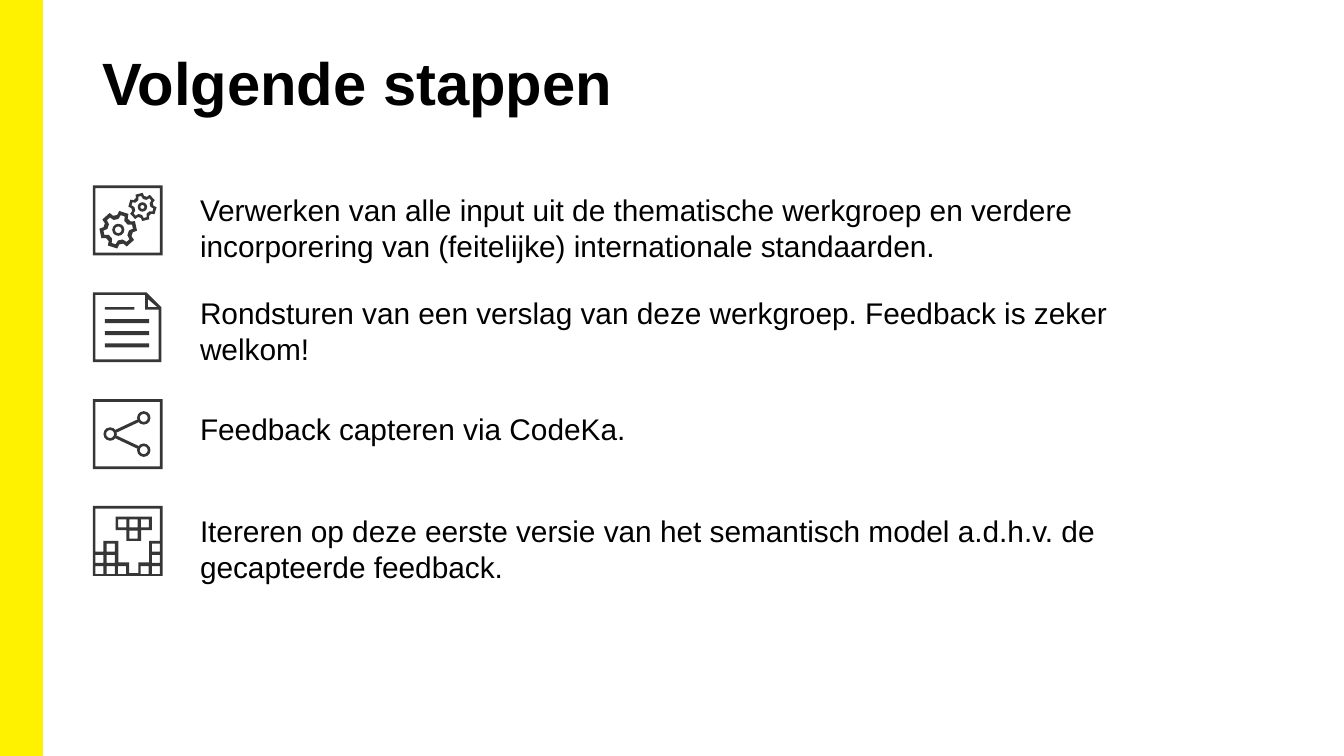
import math

import lxml.etree
import pptx
import pptx.dml.color
import pptx.enum.shapes
import pptx.enum.text
import pptx.oxml.ns
import pptx.util

Inches = pptx.util.Inches
SHAPES = pptx.enum.shapes.MSO_SHAPE
YELLOW, INK, BLACK = "FFF200", "373636", "000000"
PAGE_WIDTH = 10
PAGE_HEIGHT = PAGE_WIDTH * 9 / 16
ICON = 0.52
STROKE = 0.02


def colour(hex_value):
    return pptx.dml.color.RGBColor.from_string(hex_value)


def paint(shape, hex_value):
    shape.shadow.inherit = False
    shape.fill.solid()
    shape.fill.fore_color.rgb = colour(hex_value)
    shape.line.fill.background()


def add_preset(shapes, kind, left, top, width, height, hex_value=INK):
    shape = shapes.add_shape(kind, Inches(left), Inches(top), Inches(width), Inches(height))
    paint(shape, hex_value)
    return shape


def add_outline(shapes, left, top, contours):
    """Fill closed contours, given relative to left and top; inner ones become holes."""
    placed = [[(Inches(left + x), Inches(top + y)) for x, y in contour] for contour in contours]
    builder = shapes.build_freeform(*placed[0][0], scale=1.0)
    builder.add_line_segments(placed[0][1:], close=True)
    for contour in placed[1:]:
        builder.move_to(*contour[0])
        builder.add_line_segments(contour[1:], close=True)
    paint(builder.convert_to_shape(), INK)


def rectangle(x, y, width, height):
    return [(x, y), (x + width, y), (x + width, y + height), (x, y + height)]


def frame_contours():
    inner = ICON - 2 * STROKE
    return [rectangle(0, 0, ICON, ICON), rectangle(STROKE, STROKE, inner, inner)]


def add_ring(shapes, centre_x, centre_y, size):
    ring = add_preset(shapes, SHAPES.DONUT, centre_x - size / 2, centre_y - size / 2, size, size)
    ring.adjustments[0] = STROKE / size


def cog(tip, root, tip_half, root_half, phase):
    """Contour of a six-toothed wheel; radii in inches, angles in degrees."""
    corners = [(root, -root_half), (tip, -tip_half), (tip, tip_half), (root, root_half)]
    points = []
    for tooth in range(6):
        for radius, offset in corners:
            angle = math.radians(phase + 60 * tooth + offset)
            points.append((radius * math.cos(angle), radius * math.sin(angle)))
    return points


def gears_icon(shapes, left, top):
    add_outline(shapes, left, top, frame_contours())
    for x, y, scale, phase, hub in [(0.19, 0.33, 1, -12, 0.09), (0.37, 0.16, 0.75, 16, 0.07)]:
        wheel = [cog(0.14 * scale, 0.11 * scale, 15, 22, phase),
                 cog(0.11 * scale, 0.08 * scale, 8, 17, phase)]
        add_outline(shapes, left + x, top + y, wheel)
        add_ring(shapes, left + x, top + y, hub)


def document_icon(shapes, left, top):
    add_preset(shapes, SHAPES.RECTANGLE, left + 0.09, top + 0.11, 0.22, 0.02)
    for line in range(3):
        add_preset(shapes, SHAPES.RECTANGLE, left + 0.09, top + 0.2 + 0.09 * line, 0.33, 0.03)
    sheet = [(0, 0), (0.4, 0), (0.51, 0.11), (0.51, ICON), (0, ICON)]
    fold = [(0.41, 0.05), (0.48, 0.11), (0.41, 0.11)]
    inside = [(0.02, 0.02), (0.39, 0.02), (0.39, 0.13), (0.49, 0.13), (0.49, 0.5), (0.02, 0.5)]
    add_outline(shapes, left, top, [sheet, fold, inside])


def share_icon(shapes, left, top):
    add_outline(shapes, left, top, frame_contours())
    add_ring(shapes, left + 0.13, top + 0.26, 0.1)
    for end_y, side in [(0.14, -1), (0.38, 1)]:
        add_ring(shapes, left + 0.38, top + end_y, 0.1)
        link = shapes.add_connector(
            pptx.enum.shapes.MSO_CONNECTOR.STRAIGHT,
            Inches(left + 0.17), Inches(top + 0.26 + 0.02 * side),
            Inches(left + 0.34), Inches(top + end_y - 0.02 * side))
        link.line.color.rgb = colour(INK)
        link.line.width = pptx.util.Pt(1.6)
        lxml.etree.SubElement(link._element.spPr, pptx.oxml.ns.qn("a:effectLst"))


def blocks_icon(shapes, left, top):
    pitch, hole = 0.084, 0.06
    piece = [(0.17, 0.08), (0.44, 0.08), (0.44, 0.18), (0.36, 0.18),
             (0.36, 0.26), (0.25, 0.26), (0.25, 0.18), (0.17, 0.18)]
    piece_cells = [(0, 0), (1, 0), (2, 0), (1, 1)]
    add_outline(shapes, left, top, [piece] + [
        rectangle(0.19 + pitch * column, 0.1 + pitch * row, hole, hole)
        for column, row in piece_cells])

    cavity = [(0.02, 0.02), (0.5, 0.02), (0.5, 0.26), (0.42, 0.26), (0.42, 0.42),
              (0.34, 0.42), (0.34, 0.5), (0.27, 0.5), (0.27, 0.42), (0.19, 0.42),
              (0.19, 0.26), (0.08, 0.26), (0.08, 0.34), (0.02, 0.34)]
    filled_columns = [(1, 5), (0, 1, 5), (0, 1, 2, 4, 5)]
    pile = [rectangle(0.02 + pitch * column, 0.28 + pitch * row, hole, hole)
            for row, columns in enumerate(filled_columns) for column in columns]
    add_outline(shapes, left, top, [rectangle(0, 0, ICON, ICON), cavity] + pile)


def add_text(page, box, insets, text, font):
    left, top, width, height = map(Inches, box)
    frame = page.shapes.add_textbox(left, top, width, height).text_frame
    frame.word_wrap = True
    frame.vertical_anchor = pptx.enum.text.MSO_ANCHOR.TOP
    for side, inset in zip(("left", "top", "right", "bottom"), insets):
        setattr(frame, f"margin_{side}", Inches(inset))
    span = frame.paragraphs[0].add_run()
    span.text = text
    for name, value in font.items():
        setattr(span.font, name, value)
    span.font.color.rgb = colour(BLACK)


def add_step(page, left, top, draw_icon, text_shift, text):
    draw_icon(page.shapes.add_group_shape().shapes, left, top)
    add_text(page, (left + 0.7, top + text_shift, 7.4, 0.37), (0.1, 0.05, 0.1, 0.05),
             text, {"name": "Arial", "size": pptx.util.Pt(16)})


def add_side_band(page, height):
    band = add_preset(page.shapes, SHAPES.RECTANGLE, 0, 0, 0.31, height, YELLOW)
    band.line.color.rgb = colour(YELLOW)
    band.line.width = pptx.util.Pt(1)


STEPS = [
    (gears_icon, 0, "Verwerken van alle input uit de thematische werkgroep en verdere "
                    "incorporering van (feitelijke) internationale standaarden."),
    (document_icon, -0.03, "Rondsturen van een verslag van deze werkgroep. "
                           "Feedback is zeker welkom!"),
    (share_icon, 0.04, "Feedback capteren via CodeKa."),
    (blocks_icon, 0, "Itereren op deze eerste versie van het semantisch model a.d.h.v. de "
                     "gecapteerde feedback."),
]


def main():
    deck = pptx.Presentation()
    deck.slide_width, deck.slide_height = Inches(PAGE_WIDTH), Inches(PAGE_HEIGHT)
    page = deck.slides.add_slide(deck.slide_layouts[6])
    add_side_band(page, PAGE_HEIGHT)
    for index, step in enumerate(STEPS):
        add_step(page, 0.69, 1.38 + 0.795 * index, *step)
    add_text(page, (0.69, 0.3, 8.62, 0.81), (0.07, 0.04, 0.07, 0.04), "Volgende stappen",
             {"name": "Arial", "size": pptx.util.Pt(32), "bold": True})
    deck.save("out.pptx")


if __name__ == "__main__":
    main()
